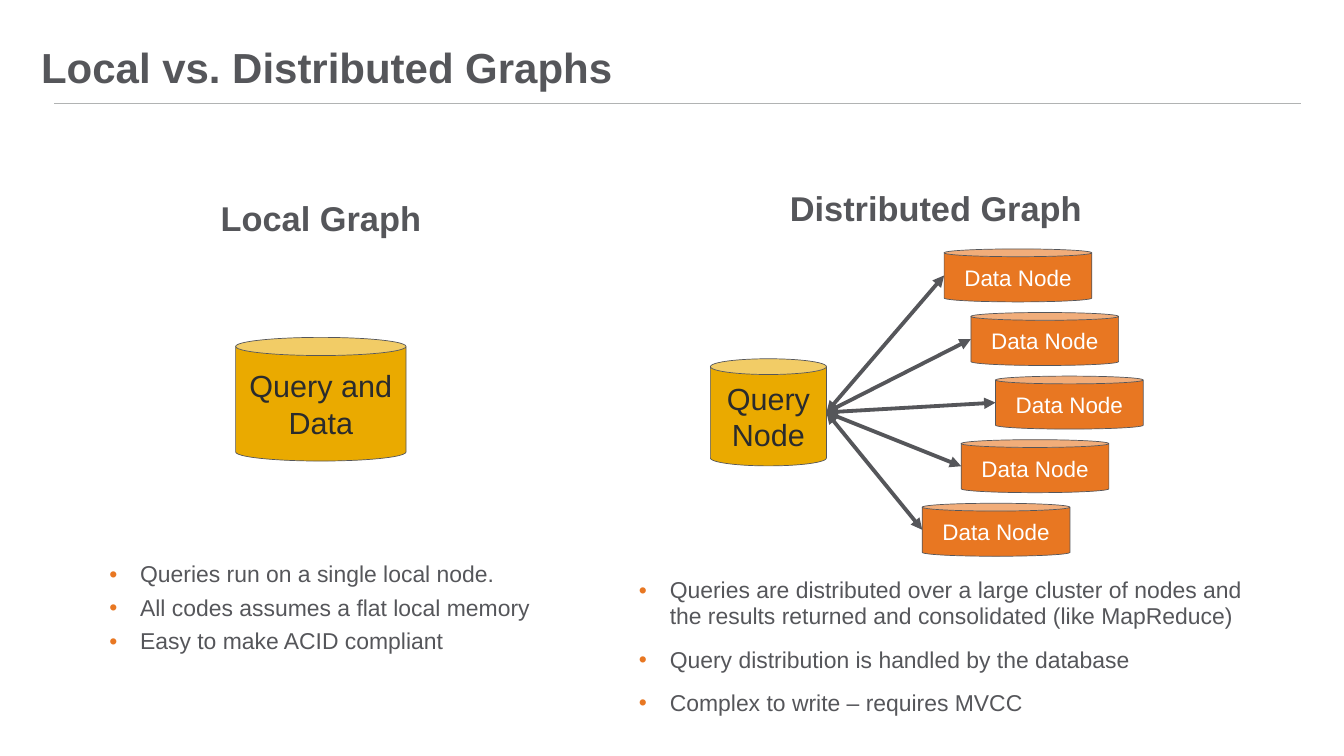
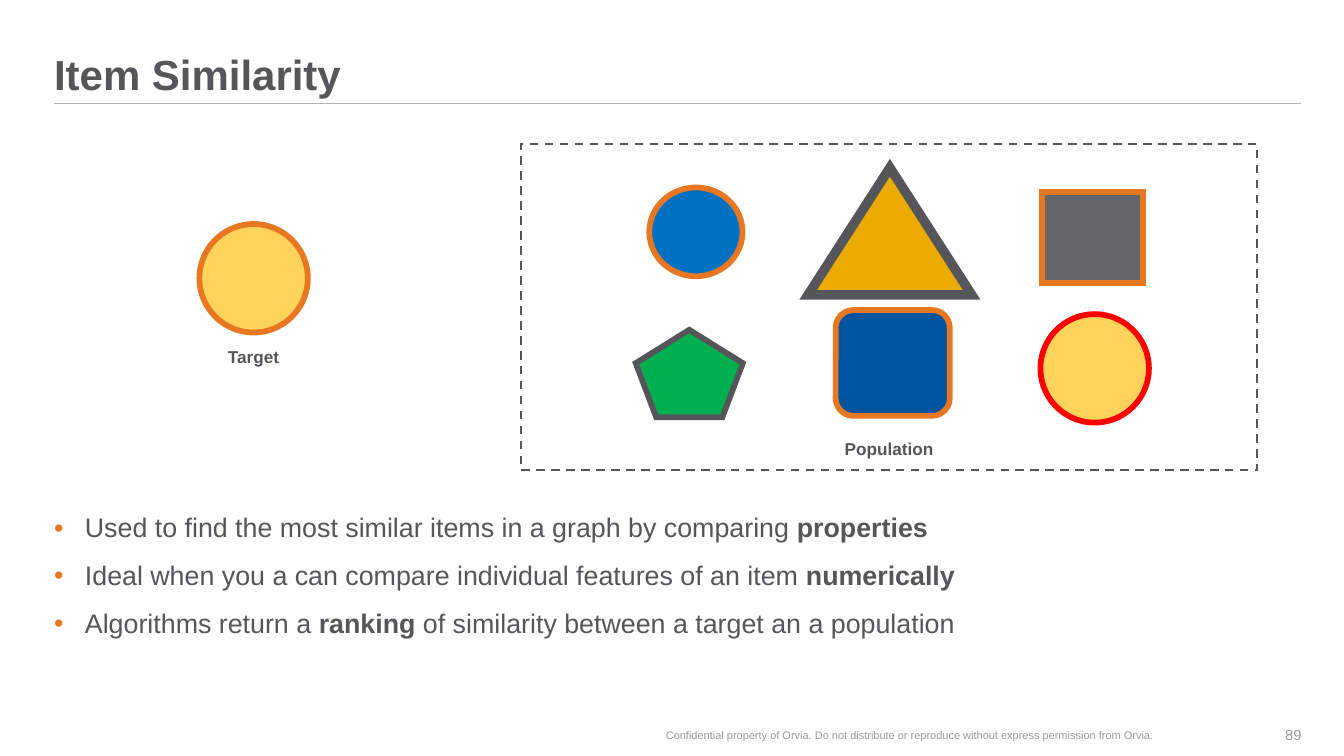
from lxml.etree import SubElement
from pptx import Presentation
from pptx.dml.color import RGBColor
from pptx.enum.dml import MSO_LINE
from pptx.enum.shapes import MSO_CONNECTOR, MSO_SHAPE
from pptx.enum.text import MSO_ANCHOR, MSO_AUTO_SIZE, PP_ALIGN
from pptx.oxml.ns import qn
from pptx.util import Cm, Pt

GREY = "55565A"
ORANGE = "E87722"
GOLD = "EAAA00"
YELLOW = "FFD259"
RULE_GREY = "B1B3B3"
FOOTER_GREY = "999A9B"
INK = "2A2B2D"
WHITE = "FFFFFF"
BODY_INSETS = (0.51, 0.25)


def color(value):
    return RGBColor.from_string(value)


class Deck:
    font = "Arial"

    def __init__(self):
        self.prs = Presentation()
        self.prs.slide_width = Cm(49.68)
        self.prs.slide_height = Cm(27.94)
        self.slide = None

    def new_slide(self, title, box):
        self.slide = self.prs.slides.add_slide(self.prs.slide_layouts[6])
        self.line((2, 3.81), (48.1, 3.81), RULE_GREY, 1)
        self.text(box, [title], 44, bold=True, anchor=MSO_ANCHOR.BOTTOM, spacing=0.9)

    def add_runs(self, paragraph, text, size, ink, bold=False):
        for index, part in enumerate(text.split("*")):
            run = paragraph.add_run()
            run.text = part
            run.font.name = self.font
            run.font.size = Pt(size)
            run.font.bold = bold or index % 2 == 1
            run.font.color.rgb = color(ink)

    def frame(self, frame, insets, anchor):
        frame.word_wrap = True
        frame.vertical_anchor = anchor
        frame.margin_left = frame.margin_right = Cm(insets[0])
        frame.margin_top = frame.margin_bottom = Cm(insets[1])

    def text(self, box, lines, size, ink=GREY, bold=False, align=PP_ALIGN.LEFT,
             anchor=MSO_ANCHOR.TOP, insets=(0, 0), spacing=1.0, before=0, after=0,
             bullets=False):
        frame = self.slide.shapes.add_textbox(*map(Cm, box)).text_frame
        self.frame(frame, insets, anchor)
        for index, line in enumerate(lines):
            paragraph = frame.add_paragraph() if index else frame.paragraphs[0]
            paragraph.alignment = align
            paragraph.line_spacing = spacing
            paragraph.space_before = Pt(before if index else 0)
            paragraph.space_after = Pt(after)
            if bullets:
                self.bullet(paragraph)
            self.add_runs(paragraph, line, size, ink, bold)
        return frame

    def bullet(self, paragraph):
        properties = paragraph._p.get_or_add_pPr()
        properties.set("marL", str(Cm(1.14)))
        properties.set("indent", str(-Cm(1.14)))
        bullet_color = SubElement(properties, qn("a:buClr"))
        SubElement(bullet_color, qn("a:srgbClr"), val=ORANGE)
        SubElement(properties, qn("a:buFont"), typeface=self.font)
        SubElement(properties, qn("a:buChar"), char="•")

    def heading(self, box, title):
        self.text(box, [title], 36, bold=True, align=PP_ALIGN.CENTER,
                  anchor=MSO_ANCHOR.BOTTOM, insets=BODY_INSETS, spacing=0.95, after=7.7)

    def bullets(self, box, lines, size=24, insets=BODY_INSETS, before=10.2):
        self.text(box, lines, size, insets=insets, spacing=0.95, before=before,
                  after=7.7, bullets=True)

    def label(self, box, caption):
        frame = self.text(box, [caption], 18, bold=True, align=PP_ALIGN.CENTER,
                          insets=(0.25, 0.13))
        frame.auto_size = MSO_AUTO_SIZE.SHAPE_TO_FIT_TEXT

    def footer(self, notice, number):
        self.text((21.56, 26.42, 24.13, 1.5), [notice], 11.5, FOOTER_GREY,
                  align=PP_ALIGN.CENTER, anchor=MSO_ANCHOR.MIDDLE)
        self.text((45.9, 26.42, 2.21, 1.5), [number], 15.3, FOOTER_GREY,
                  align=PP_ALIGN.RIGHT, anchor=MSO_ANCHOR.MIDDLE)

    def shape(self, kind, box, fill, outline, width, dash=None):
        shape = self.slide.shapes.add_shape(kind, *map(Cm, box))
        shape.shadow.inherit = False
        if fill:
            shape.fill.solid()
            shape.fill.fore_color.rgb = color(fill)
        else:
            shape.fill.background()
        shape.line.color.rgb = color(outline)
        shape.line.width = Pt(width)
        if dash:
            shape.line.dash_style = dash
        SubElement(shape.line._get_or_add_ln(), qn("a:miter"), lim="800000")
        return shape

    def database(self, box, caption, fill, size, ink):
        can = self.shape(MSO_SHAPE.CAN, box, fill, GREY, 0.75)
        can.adjustments[0] = 0.147
        self.frame(can.text_frame, (0.51, 0.51), MSO_ANCHOR.MIDDLE)
        paragraph = can.text_frame.paragraphs[0]
        paragraph.alignment = PP_ALIGN.CENTER
        self.add_runs(paragraph, caption, size, ink)

    def line(self, start, end, ink, width, arrows=False):
        line = self.slide.shapes.add_connector(
            MSO_CONNECTOR.STRAIGHT, *map(Cm, (*start, *end)))
        line.line.color.rgb = color(ink)
        line.line.width = Pt(width)
        if arrows:
            for arrow_end in ("a:headEnd", "a:tailEnd"):
                SubElement(line.line._get_or_add_ln(), qn(arrow_end), type="triangle")
        SubElement(line._element.spPr, qn("a:effectLst"))


def local_vs_distributed(deck):
    deck.new_slide("Local vs. Distributed Graphs", (1.52, 1.14, 46.1, 2.29))
    deck.heading((4.04, 6.25, 15.65, 2.84), "Local Graph")
    deck.bullets((3.53, 20.52, 16.64, 3.84), [
        "Queries run on a single local node.",
        "All codes assumes a flat local memory",
        "Easy to make ACID compliant",
    ], before=0)
    deck.heading((23.62, 6.1, 21.95, 2.62), "Distributed Graph")
    deck.bullets((23.11, 21.11, 23.6, 5.89), [
        "Queries are distributed over a large cluster of nodes and the results "
        "returned and consolidated (like MapReduce)",
        "Query distribution is handled by the database",
        "Complex to write – requires MVCC",
    ])
    deck.database((8.71, 12.47, 6.3, 4.57), "Query and Data", GOLD, 32, INK)
    deck.database((26.26, 13.26, 4.29, 3.96), "Query Node", GOLD, 32, INK)
    node_width, node_height, node_pitch = 5.46, 1.96, 2.35
    nodes = [(left, 9.2 + row * node_pitch)
             for row, left in enumerate((34.9, 35.89, 36.8, 35.53, 34.09))]
    for left, top in nodes:
        deck.database((left, top, node_width, node_height), "Data Node", ORANGE, 23.5, WHITE)
    for left, top in nodes:
        deck.line((30.55, 15.24), (left, top + node_height / 2), GREY, 4, arrows=True)


def item_similarity(deck):
    deck.new_slide("Item Similarity", (2, 1.6, 46.1, 2.08))
    deck.bullets((2, 18.97, 46.1, 6.91), [
        "Used to find the most similar items in a graph by comparing *properties",
        "Ideal when you a can compare individual features of an item *numerically",
        "Algorithms return a *ranking* of similarity between a target an a population",
    ], size=28.1, insets=(0, 0))
    deck.footer("Confidential property of Orvia. Do not distribute or reproduce "
                "without express permission from Orvia.", "89")
    deck.label((7.37, 12.67, 4.01, 1.02), "Target")
    deck.shape(MSO_SHAPE.OVAL, (7.37, 8.28, 4.01, 4.01), YELLOW, ORANGE, 6)
    deck.shape(MSO_SHAPE.RECTANGLE, (19.25, 5.33, 27.23, 12.04), None, GREY, 2.25,
               MSO_LINE.DASH)
    deck.label((29.79, 16.08, 6.15, 1.02), "Population")
    population = [
        (MSO_SHAPE.OVAL, (24, 6.93, 3.45, 3.28), "0070C0", ORANGE, 6),
        (MSO_SHAPE.ISOSCELES_TRIANGLE, (29.87, 6.2, 6.05, 4.7), GOLD, GREY, 10),
        (MSO_SHAPE.RECTANGLE, (38.53, 7.09, 3.71, 3.38), "63666A", ORANGE, 6),
        (MSO_SHAPE.REGULAR_PENTAGON, (23.5, 12.19, 3.96, 3.23), "00B050", GREY, 6),
        (MSO_SHAPE.ROUNDED_RECTANGLE, (30.89, 11.46, 4.22, 3.91), "00549F", ORANGE, 6),
        (MSO_SHAPE.OVAL, (38.46, 11.61, 4.01, 4.01), YELLOW, "FF0000", 6),
    ]
    for item in population:
        deck.shape(*item)


def main():
    deck = Deck()
    local_vs_distributed(deck)
    item_similarity(deck)
    deck.prs.save("out.pptx")


if __name__ == "__main__":
    main()
